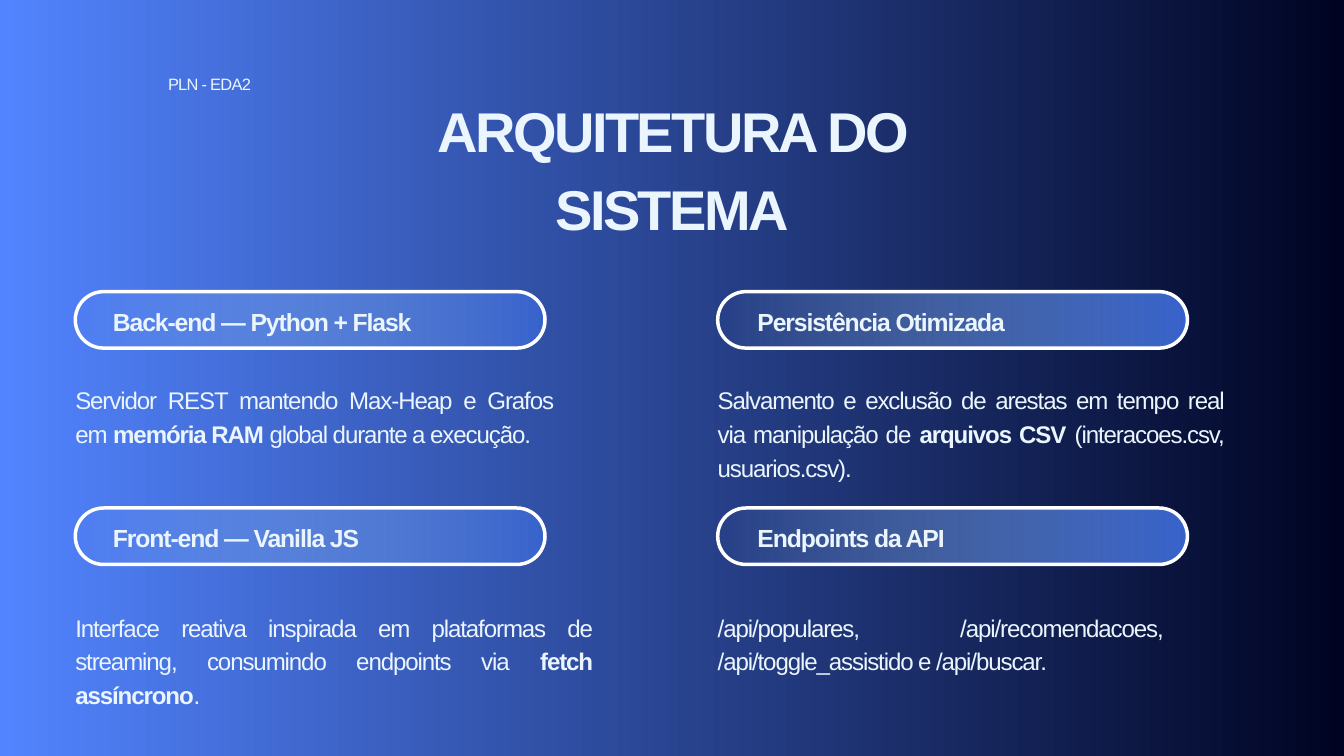
from dataclasses import dataclass

from lxml.etree import SubElement
from pptx import Presentation
from pptx.dml.color import RGBColor
from pptx.enum.shapes import MSO_SHAPE as Shape
from pptx.enum.text import MSO_ANCHOR as Anchor, MSO_AUTO_SIZE as AutoSize, PP_ALIGN as Align
from pptx.oxml.ns import qn
from pptx.util import Inches, Pt

BLUE = RGBColor(0x52, 0x84, 0xFF)
NAVY = RGBColor(0x00, 0x04, 0x22)
SKY = RGBColor(0x9F, 0xCD, 0xFF)
ROYAL = RGBColor(0x39, 0x64, 0xCD)
ICE = RGBColor(0xEB, 0xF5, 0xFE)
WHITE = RGBColor(0xFF, 0xFF, 0xFF)

COLUMNS = (1.12, 10.68)
PILL_TOPS = (4.34, 7.56)
BODY_TOPS = (5.67, 9.05)
PILL_W, PILL_H = 6.99, 0.84
LABEL_DY = 0.15


@dataclass(frozen=True)
class TextStyle:
    size: float
    leading: float
    spacing: float
    align: Align = Align.LEFT
    bold: bool = False


@dataclass(frozen=True)
class Section:
    col: int
    row: int
    label: str
    label_dx: float
    label_w: float
    body: tuple[str, ...]
    body_w: float
    body_h: float = 1.49


TITLE = TextStyle(60, 84, -2.8, Align.CENTER, True)
TAG = TextStyle(17.6, 24.6, -0.8)
LABEL = TextStyle(26.5, 37.1, -1.2, bold=True)
BODY = TextStyle(25.8, 36.1, -1.2, Align.JUSTIFY)

SECTIONS = (
    Section(0, 0, "Back-end — Python + Flask", 0.56, 4.81,
            ("Servidor REST mantendo Max-Heap e Grafos em ", "memória RAM",
             " global durante a execução."), 7.11),
    Section(0, 1, "Front-end — Vanilla JS", 0.56, 4.55,
            ("Interface reativa inspirada em plataformas de streaming, "
             "consumindo endpoints via ", "fetch assíncrono", "."), 7.69),
    Section(1, 0, "Persistência Otimizada", 0.59, 4.55,
            ("Salvamento e exclusão de arestas em tempo real via manipulação de ",
             "arquivos CSV", " (interacoes.csv, usuarios.csv)."), 7.53),
    Section(1, 1, "Endpoints da API", 0.59, 4.55,
            ("/api/populares, /api/recomendacoes, "
             "/api/toggle_assistido e /api/buscar.",), 6.62, 0.99),
)


def set_gradient(fill, start: RGBColor, end: RGBColor) -> None:
    fill.gradient()
    fill.gradient_angle = 0
    for stop, color in zip(fill.gradient_stops, (start, end)):
        stop.color.rgb = color


def write_text(sp, parts: tuple[str, ...], style: TextStyle) -> None:
    tf = sp.text_frame
    frame_format = dict(margin_left=0, margin_top=0, margin_right=0, margin_bottom=0,
                        word_wrap=True, auto_size=AutoSize.SHAPE_TO_FIT_TEXT,
                        vertical_anchor=Anchor.TOP)
    for name, value in frame_format.items():
        setattr(tf, name, value)
    p = tf.paragraphs[0]
    p.alignment = style.align
    p.line_spacing = Pt(style.leading)
    for i, part in enumerate(parts):
        r = p.add_run()
        r.text = part
        font_format = dict(name="Arial", size=Pt(style.size), bold=style.bold or i % 2 == 1)
        for name, value in font_format.items():
            setattr(r.font, name, value)
        r.font.color.rgb = ICE
        r._r.get_or_add_rPr().set("spc", str(round(style.spacing * 100)))


def add_text(s, x: float, y: float, w: float, h: float,
             parts: tuple[str, ...], style: TextStyle) -> None:
    sp = s.shapes.add_textbox(Inches(x), Inches(y), Inches(w), Inches(h))
    write_text(sp, parts, style)


def add_title(s, x: float, y: float, w: float, h: float, text: str) -> None:
    sp = s.shapes.title
    box = dict(left=x, top=y, width=w, height=h)
    for name, value in box.items():
        setattr(sp, name, Inches(value))
    write_text(sp, (text,), TITLE)


def add_pill(s, x: float, y: float) -> None:
    sp = s.shapes.add_shape(Shape.ROUNDED_RECTANGLE,
                            Inches(x), Inches(y), Inches(PILL_W), Inches(PILL_H))
    sp.adjustments[0] = 0.5
    sp.shadow.inherit = False
    set_gradient(sp.fill, SKY, ROYAL)
    first_color = next(sp._element.spPr.iter(qn("a:srgbClr")))
    SubElement(first_color, qn("a:alpha")).set("val", "0")
    sp.line.color.rgb = WHITE
    sp.line.width = Pt(3.75)


def add_section(s, section: Section) -> None:
    x, y = COLUMNS[section.col], PILL_TOPS[section.row]
    add_pill(s, x, y)
    add_text(s, x + section.label_dx, y + LABEL_DY, section.label_w, 0.49,
             (section.label,), LABEL)
    add_text(s, x, BODY_TOPS[section.row], section.body_w, section.body_h,
             section.body, BODY)


def main() -> None:
    prs = Presentation()
    prs.slide_width, prs.slide_height = Inches(20), Inches(11.25)
    s = prs.slides.add_slide(prs.slide_layouts[5])
    set_gradient(s.background.fill, BLUE, NAVY)
    add_title(s, 6.25, 1.27, 7.5, 2.29, "ARQUITETURA DO SISTEMA")
    add_text(s, 2.5, 1.06, 1.71, 0.33, ("PLN - EDA2",), TAG)
    for section in SECTIONS:
        add_section(s, section)
    prs.save("out.pptx")


if __name__ == "__main__":
    main()
